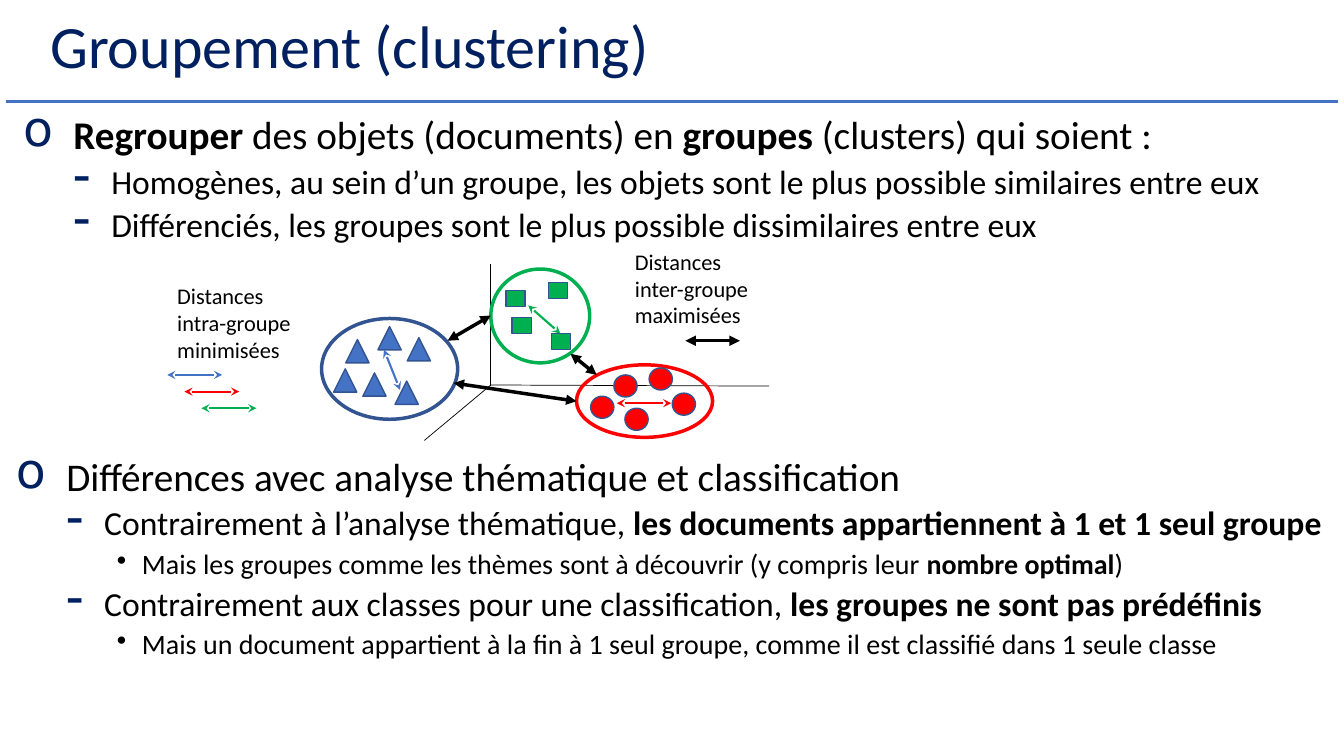
from lxml.etree import SubElement
from pptx import Presentation
from pptx.dml.color import RGBColor
from pptx.enum.shapes import MSO_CONNECTOR, MSO_SHAPE
from pptx.enum.text import MSO_ANCHOR, MSO_AUTO_SIZE
from pptx.oxml.ns import qn
from pptx.util import Pt

COLORS = {"navy": "002060", "blue": "4472C4", "outline": "325491",
          "red": "FF0000", "green": "00B050", "black": "000000"}

# Outline levels: text size, space before, left margin, hanging indent, bullet
LEVELS = [
    {"size": 28, "before": 10, "left": 36, "hang": 36, "char": "o", "pct": 125},
    {"size": 24, "before": 5, "left": 63, "hang": 27, "char": "-", "pct": 150},
    {"size": 20, "before": 5, "left": 90, "hang": 18, "char": "•", "pct": None},
]

# Outline text: (level, text), with bold parts between ** marks
DEFINITION = [
    (0, "**Regrouper** des objets (documents) en **groupes** (clusters) qui soient :"),
    (1, "Homogènes, au sein d’un groupe, les objets sont le plus possible "
        "similaires entre eux"),
    (1, "Différenciés, les groupes sont le plus possible dissimilaires entre eux"),
]
DIFFERENCES = [
    (0, "Différences avec analyse thématique et classification"),
    (1, "Contrairement à l’analyse thématique, "
        "**les documents appartiennent à 1 et 1 seul groupe**"),
    (2, "Mais les groupes comme les thèmes sont à découvrir "
        "(y compris leur **nombre optimal**)"),
    (1, "Contrairement aux classes pour une classification, "
        "**les groupes ne sont pas prédéfinis**"),
    (2, "Mais un document appartient à la fin à 1 seul groupe, "
        "comme il est classifié dans 1 seule classe"),
]

# Clusters: outline box, member shape, member size and member corners
CLUSTERS = [
    {"box": (229.7, 227.5, 97.2, 72), "line": "outline", "fill": "blue",
     "kind": MSO_SHAPE.ISOSCELES_TRIANGLE, "size": (16.6, 16.6),
     "members": [(270, 233.3), (290.9, 241.2), (282.2, 272.2),
                 (238.3, 263.5), (259.2, 266.4), (247, 242.6)]},
    {"box": (411.8, 260.6, 97.2, 51.8), "line": "red", "fill": "red",
     "kind": MSO_SHAPE.OVAL, "size": (16.6, 15.8),
     "members": [(421.9, 283), (446.4, 291.6), (480.2, 280.8),
                 (438.5, 267.8), (463.7, 262.8)]},
    {"box": (350.6, 192.2, 70.6, 67), "line": "green", "fill": "green",
     "kind": MSO_SHAPE.RECTANGLE, "size": (13.7, 11.5),
     "members": [(365.8, 226.8), (361.4, 207.4), (391.7, 201.6), (393.8, 238.3)]},
]

AXES = [(350.6, 188.6, 350.6, 275.8), (549.4, 275.8, 350.6, 275),
        (350.6, 275, 303.1, 314.6)]
INTRA = {"blue": (274.3, 249.8, 285.8, 278.6),
         "green": (377.3, 218.2, 400.3, 238.3),
         "red": (440.6, 288, 479.5, 288)}
INTER = [(489.6, 243.4, 528.5, 243.4), (407.5, 252.7, 426.2, 267.8),
         (324, 273.6, 411.8, 286.6), (319.7, 243.4, 350.6, 225.4)]


def rgb(name):
    return RGBColor.from_string(COLORS[name])


def set_attrs(obj, values):
    for name, value in values.items():
        setattr(obj, name, value)


def add_runs(p, text, size, color="black"):
    for i, part in enumerate(text.split("**")):
        if part:
            r = p.add_run()
            r.text = part
            set_attrs(r.font, {"name": "Calibri", "size": Pt(size), "bold": i % 2 == 1})
            r.font.color.rgb = rgb(color)


def add_text(slide, box, **frame):
    tf = slide.shapes.add_textbox(*map(Pt, box)).text_frame
    set_attrs(tf, {"word_wrap": True, **frame})
    return tf


def next_paragraph(tf, i):
    return tf.paragraphs[0] if i == 0 else tf.add_paragraph()


def add_bullet(p, level):
    pPr = p._p.get_or_add_pPr()
    pPr.set("marL", str(Pt(level["left"])))
    pPr.set("indent", str(-Pt(level["hang"])))
    if level["pct"]:
        clr = SubElement(pPr, qn("a:buClr"))
        SubElement(clr, qn("a:srgbClr"), val=COLORS["navy"])
        SubElement(pPr, qn("a:buSzPct"), val=str(level["pct"] * 1000))
    SubElement(pPr, qn("a:buChar"), char=level["char"])


def add_outline(slide, box, items):
    tf = add_text(slide, box)
    for i, (depth, text) in enumerate(items):
        level = LEVELS[depth]
        p = next_paragraph(tf, i)
        set_attrs(p, {"level": depth, "line_spacing": 0.9,
                      "space_before": Pt(level["before"])})
        add_bullet(p, level)
        add_runs(p, text, level["size"])


def add_label(slide, left, top, lines):
    tf = add_text(slide, (left, top, 101.5, 67.7),
                  auto_size=MSO_AUTO_SIZE.SHAPE_TO_FIT_TEXT)
    for i, line in enumerate(lines):
        add_runs(next_paragraph(tf, i), line, 16)


def add_line(slide, ends, color, width, arrow=None):
    sp = slide.shapes.add_connector(MSO_CONNECTOR.STRAIGHT, *map(Pt, ends))
    sp.line.color.rgb = rgb(color)
    sp.line.width = Pt(width)
    if arrow:
        ln = sp.line._get_or_add_ln()
        for tag in ("a:headEnd", "a:tailEnd"):
            SubElement(ln, qn(tag), type=arrow)
    SubElement(sp._element.spPr, qn("a:effectLst"))


def add_shape(slide, kind, box, line, width, fill=None):
    sp = slide.shapes.add_shape(kind, *map(Pt, box))
    sp.shadow.inherit = False
    if fill:
        sp.fill.solid()
        sp.fill.fore_color.rgb = rgb(fill)
    else:
        sp.fill.background()
    sp.line.color.rgb = rgb(line)
    sp.line.width = Pt(width)


def add_cluster(slide, cluster):
    add_shape(slide, MSO_SHAPE.OVAL, cluster["box"], cluster["line"], 2.5)
    for corner in cluster["members"]:
        add_shape(slide, cluster["kind"], corner + cluster["size"],
                  "outline", 1, cluster["fill"])


def main():
    prs = Presentation()
    set_attrs(prs, {"slide_width": Pt(960), "slide_height": Pt(540)})
    slide = prs.slides.add_slide(prs.slide_layouts[6])

    # Title and rule
    add_line(slide, (4.3, 72.7, 955.4, 72.7), "blue", 2)
    tf = add_text(slide, (28.8, 10.8, 902.2, 51.8), vertical_anchor=MSO_ANCHOR.MIDDLE)
    tf.paragraphs[0].line_spacing = 0.8
    add_runs(tf.paragraphs[0], "Groupement (clustering)", 42.9, "navy")

    # Definition
    add_outline(slide, (9.4, 79.2, 902.2, 109.4), DEFINITION)

    # Axes and clusters
    for ends in AXES:
        add_line(slide, ends, "black", 0.5)
    for cluster in CLUSTERS:
        add_cluster(slide, cluster)

    # Distances within groups, with their legend
    add_label(slide, 119.5, 198, ["Distances intra-groupe", "minimisées"])
    for ends, color in zip(INTRA.values(), INTRA):
        add_line(slide, ends, color, 1.5, "stealth")
    for i, color in enumerate(("blue", "red", "green")):
        x, y = 119.5 + 12.2 * i, 267.8 + 11.9 * i
        add_line(slide, (x, y, x + 39.2, y), color, 1.5, "stealth")

    # Distances between groups
    add_label(slide, 446.4, 173.5, ["Distances inter-groupe", "maximisées"])
    for ends in INTER:
        add_line(slide, ends, "black", 2.5, "triangle")

    # Differences
    add_outline(slide, (4.3, 323.3, 951.8, 207.4), DIFFERENCES)

    prs.save("out.pptx")


main()
